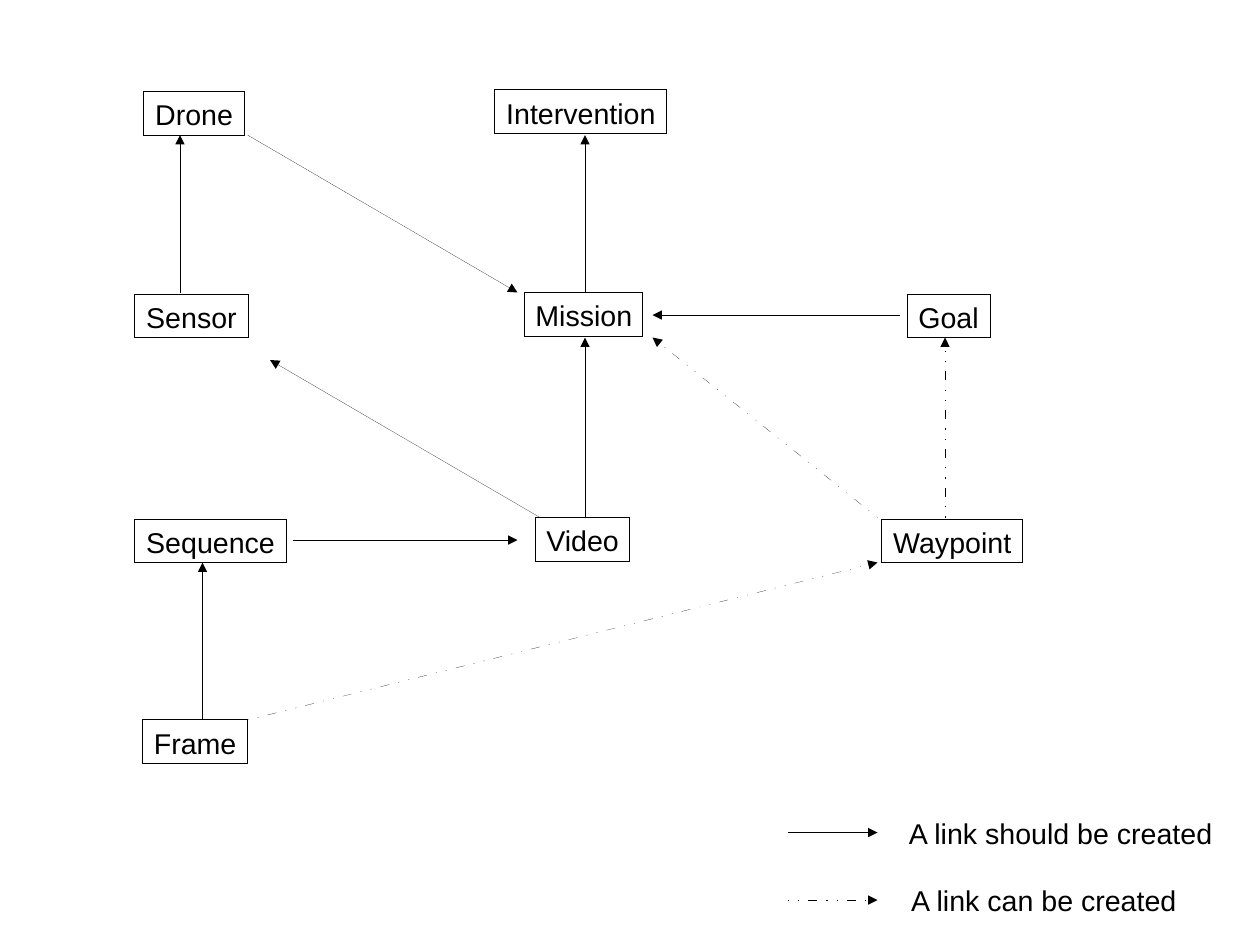
from dataclasses import dataclass
from lxml.etree import SubElement
from pptx import Presentation
from pptx.dml.color import RGBColor
from pptx.enum.shapes import MSO_CONNECTOR, MSO_SHAPE
from pptx.enum.text import MSO_ANCHOR, MSO_AUTO_SIZE, PP_ALIGN
from pptx.oxml.ns import qn
from pptx.util import Cm, Pt


@dataclass(frozen=True)
class Theme:
    ink: RGBColor = RGBColor(0, 0, 0)
    font: str = "Arial"
    size: Pt = Pt(18)
    label_height: float = 0.97


theme = Theme()
deck = Presentation()
deck.slide_width, deck.slide_height = Cm(28), Cm(21)
slide = deck.slides.add_slide(deck.slide_layouts[6])


def add_label(text, *, left, top, width, framed=False):
    place = Cm(left), Cm(top), Cm(width), Cm(theme.label_height)
    if framed:
        label = slide.shapes.add_shape(MSO_SHAPE.RECTANGLE, *place)
        label.shadow.inherit = False
        label.fill.background()
        set_hairline(label)
    else:
        label = slide.shapes.add_textbox(*place)
    frame = label.text_frame
    frame.word_wrap = False
    frame.auto_size = MSO_AUTO_SIZE.SHAPE_TO_FIT_TEXT
    frame.vertical_anchor = MSO_ANCHOR.TOP
    frame.margin_left, frame.margin_right = Cm(0.25), Cm(0)
    paragraph = frame.paragraphs[0]
    paragraph.alignment = PP_ALIGN.LEFT
    run = paragraph.add_run()
    run.text = text
    run.font.name, run.font.size = theme.font, theme.size
    run.font.color.rgb = theme.ink


def set_hairline(shape):
    shape.line.color.rgb = theme.ink
    outline = shape.element.spPr.find(qn("a:ln"))
    outline.set("w", "0")
    return outline


entities = [
    ("Drone", 3.2, 2.04, 2.23),
    ("Intervention", 11, 2, 3.81),
    ("Sensor", 3, 6.54, 2.52),
    ("Mission", 11.65, 6.5, 2.64),
    ("Goal", 20.16, 6.54, 1.86),
    ("Sequence", 3, 11.54, 3.36),
    ("Video", 11.89, 11.5, 2.11),
    ("Waypoint", 19.6, 11.54, 3.13),
    ("Frame", 3.17, 16, 2.34),
]
for entity, left, top, width in entities:
    add_label(entity, left=left, top=top, width=width, framed=True)

required_links = [
    (6.5, 12, 11.5, 12),
    (13, 11.5, 13, 7.5),
    (20, 7, 14.5, 7),
    (13, 6.5, 13, 3),
    (5.5, 3, 11.5, 6.5),
    (12, 11.5, 6, 8),
    (4.5, 16, 4.5, 12.5),
    (4, 6.5, 4, 3),
    (17.5, 18.5, 19.5, 18.5),
]
optional_links = [
    (21, 11.5, 21, 7.5),
    (5.5, 16, 19.5, 12.5),
    (19.5, 11.5, 14.5, 7.5),
    (17.5, 20, 19.5, 20),
]
dot_dot_dash = [(100, 750), (100, 750), (750, 750)]

for links, pattern in [(required_links, []), (optional_links, dot_dot_dash)]:
    for ends in links:
        link = slide.shapes.add_connector(MSO_CONNECTOR.STRAIGHT, *map(Cm, ends))
        outline = set_hairline(link)
        if pattern:
            dashes = SubElement(outline, qn("a:custDash"))
            for length, gap in pattern:
                SubElement(dashes, qn("a:ds"), d=str(length * 1000), sp=str(gap * 1000))
        SubElement(outline, qn("a:tailEnd"), type="triangle", w="med", len="med")
        SubElement(link.element.spPr, qn("a:effectLst"))

add_label("A link should be created", left=19.95, top=18, width=7.24)
add_label("A link can be created", left=20, top=19.5, width=6.4)

deck.save("out.pptx")
